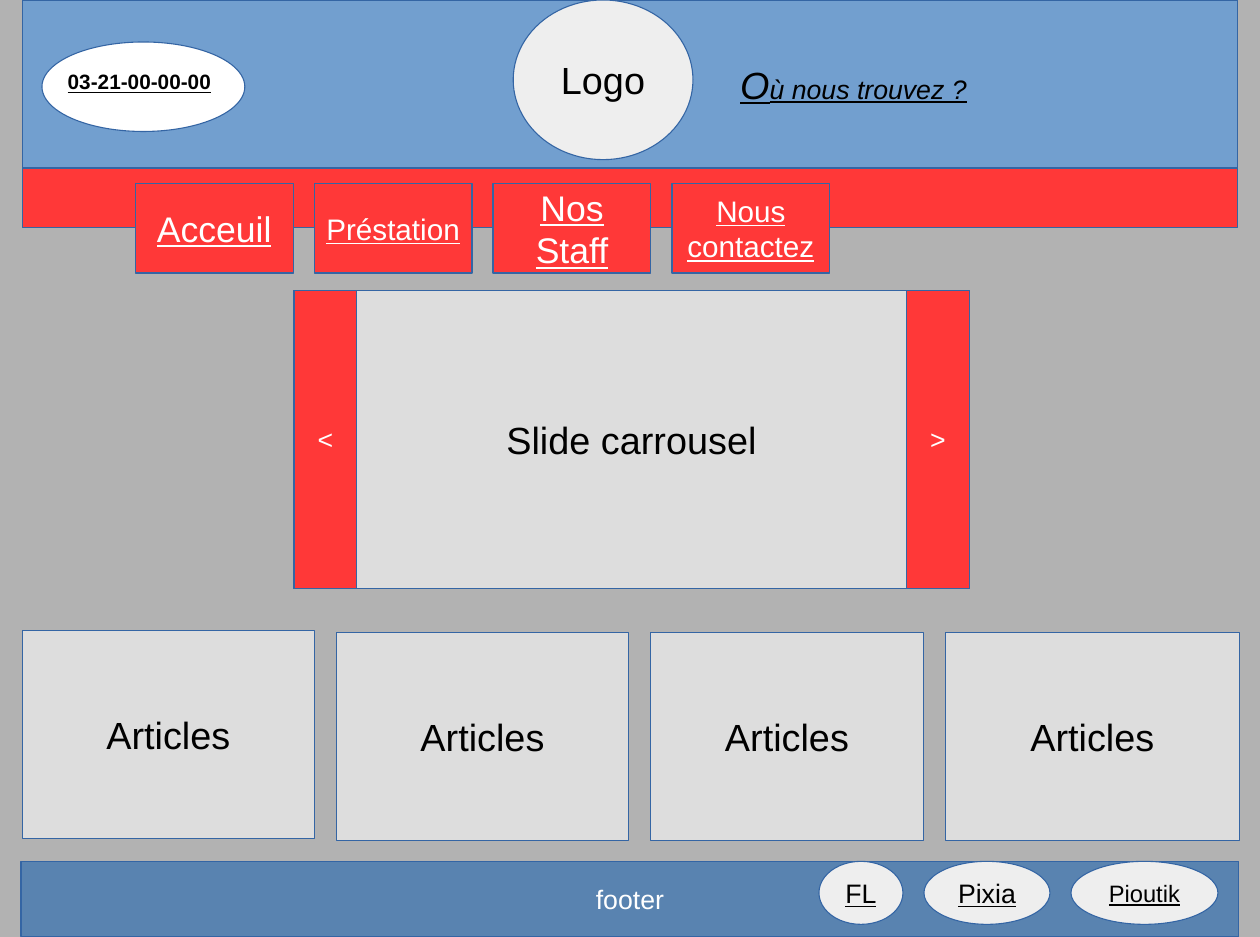
import pptx
import pptx.dml.color
import pptx.enum.shapes
import pptx.enum.text
import pptx.util

Cm = pptx.util.Cm
Pt = pptx.util.Pt
RGBColor = pptx.dml.color.RGBColor
Align = pptx.enum.text.PP_ALIGN
Anchor = pptx.enum.text.MSO_ANCHOR
Shape = pptx.enum.shapes.MSO_SHAPE

BLACK = RGBColor(0x00, 0x00, 0x00)
WHITE = RGBColor(0xFF, 0xFF, 0xFF)
GREY = RGBColor(0xB2, 0xB2, 0xB2)
PANEL = RGBColor(0xDD, 0xDD, 0xDD)
PALE = RGBColor(0xEE, 0xEE, 0xEE)
RED = RGBColor(0xFF, 0x38, 0x38)
SKY = RGBColor(0x72, 0x9F, 0xCF)
STEEL = RGBColor(0x59, 0x83, 0xB0)
OUTLINE = RGBColor(0x34, 0x65, 0xA4)


def write_text(paragraph, text, size=25.5, color=BLACK, bold=False,
               italic=False, underline=False, align=Align.CENTER):
    paragraph.alignment = align
    run = paragraph.add_run()
    run.text = text
    font = run.font
    font.name = "Arial"
    font.size = Pt(size)
    font.color.rgb = color
    font.bold = bold
    font.italic = italic
    font.underline = underline


class Wireframe:
    def __init__(self, slide, outline=OUTLINE):
        self.slide = slide
        self.outline = outline

    def block(self, kind, left, top, width, height, fill, text="", **style):
        shape = self.slide.shapes.add_shape(
            kind, Cm(left), Cm(top), Cm(width), Cm(height))
        shape.shadow.inherit = False
        shape.fill.solid()
        shape.fill.fore_color.rgb = fill
        shape.line.color.rgb = self.outline
        shape.line.width = Pt(0)
        shape.text_frame.word_wrap = True
        shape.text_frame.vertical_anchor = Anchor.MIDDLE
        if text:
            write_text(shape.text_frame.paragraphs[0], text, **style)
        return shape

    def rectangle(self, *place, **style):
        return self.block(Shape.RECTANGLE, *place, **style)

    def ellipse(self, *place, **style):
        return self.block(Shape.OVAL, *place, **style)

    def label(self, left, top, width, height, text, **style):
        box = self.slide.shapes.add_textbox(
            Cm(left), Cm(top), Cm(width), Cm(height))
        box.text_frame.word_wrap = True
        write_text(box.text_frame.paragraphs[0], text, **style)


def draw_header(page):
    header = page.rectangle(0.53, 0, 28.94, 4, fill=SKY)
    header.text_frame.margin_right = Cm(6.45)
    question = header.text_frame.paragraphs[0]
    for text, size in (("O", 25.5), ("ù nous trouvez ?", 18)):
        write_text(question, text, size=size, italic=True, underline=True,
                   align=Align.RIGHT)
    page.ellipse(1, 1, 4.83, 2.13, fill=WHITE)
    page.label(0.92, 1.52, 4.8, 1, "03-21-00-00-00", size=14, bold=True,
               underline=True)
    page.ellipse(12.22, 0, 4.28, 3.8, fill=PALE, text="Logo")


def draw_menu(page):
    page.rectangle(0.53, 4, 28.94, 1.42, fill=RED)
    entries = (("Acceuil", 24), ("Préstation", 20), ("Nos Staff", 24),
               ("Nous contactez", 20))
    for index, (text, size) in enumerate(entries):
        page.rectangle(3.22 + 4.26 * index, 4.37, 3.76, 2.13, fill=RED,
                       text=text, size=size, color=WHITE, underline=True)


def draw_carousel(page):
    left, top, width, height, arrow_width = 7, 6.91, 16.08, 7.09, 1.5
    page.rectangle(left, top, width, height, fill=PANEL, text="Slide carrousel")
    for arrow_left, text in ((left, "<"), (left + width - arrow_width, ">")):
        page.rectangle(arrow_left, top, arrow_width, height, fill=RED,
                       text=text, size=18, color=WHITE)


def draw_articles(page):
    left = 0.53
    for top, width in ((15, 6.96), (15.05, 6.96), (15.05, 6.5), (15.05, 7)):
        page.rectangle(left, top, width, 4.95, fill=PANEL, text="Articles")
        left += width + 0.52


def draw_footer(page):
    page.rectangle(0.5, 20.5, 29, 1.8, fill=STEEL, text="footer", size=18,
                   color=WHITE)
    left = 19.5
    for text, width, size in (("FL", 2, 18), ("Pixia", 3, 18),
                              ("Pioutik", 3.5, 16)):
        page.ellipse(left, 20.5, width, 1.5, fill=PALE, text=text, size=size,
                     underline=True)
        left += width + 0.5


def main():
    presentation = pptx.Presentation()
    presentation.slide_width = Cm(30)
    presentation.slide_height = Cm(22.3)
    slide = presentation.slides.add_slide(presentation.slide_layouts[6])
    slide.background.fill.solid()
    slide.background.fill.fore_color.rgb = GREY
    page = Wireframe(slide)
    draw_header(page)
    draw_menu(page)
    draw_carousel(page)
    draw_articles(page)
    draw_footer(page)
    presentation.save("out.pptx")


if __name__ == "__main__":
    main()
